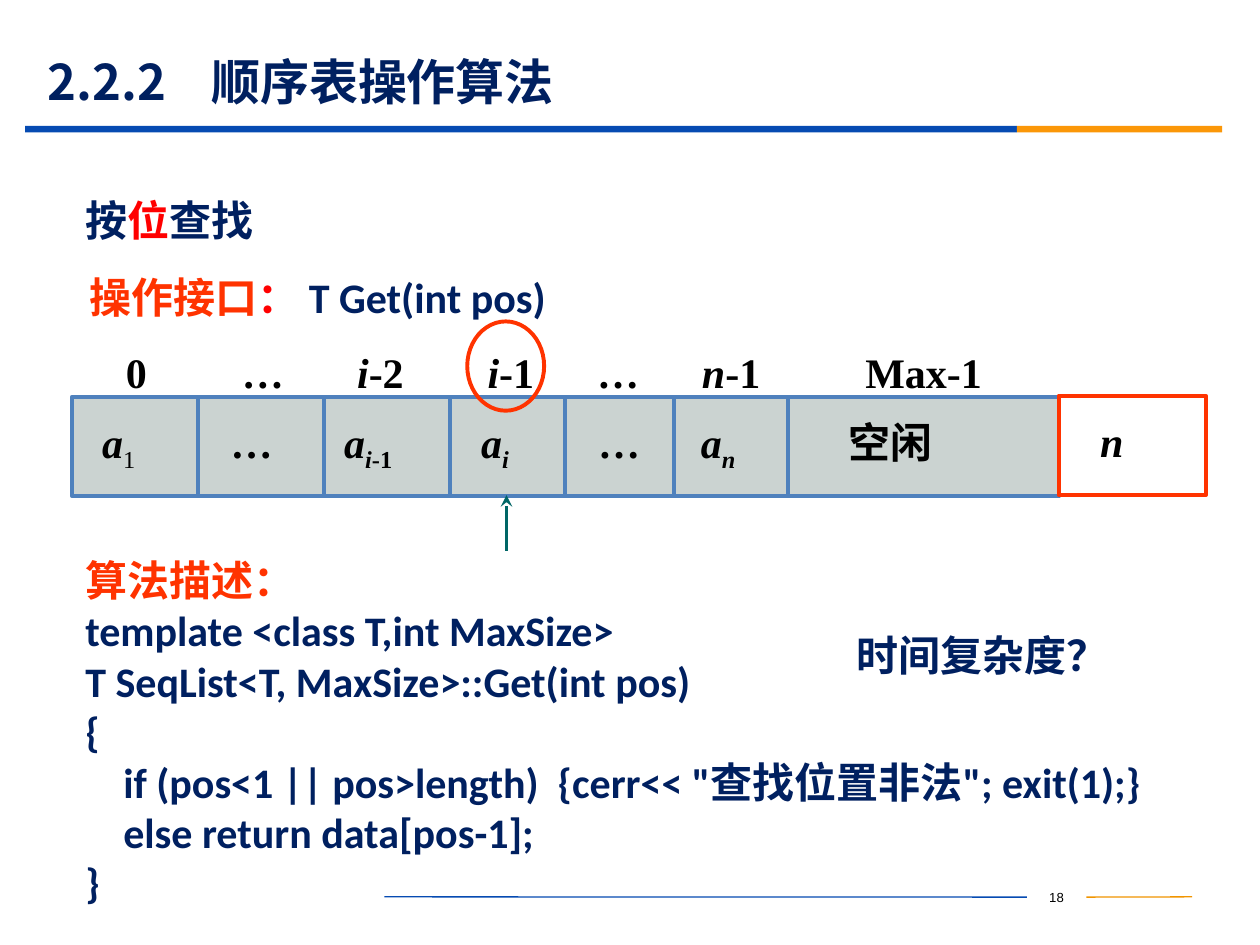
import dataclasses

import lxml.etree
import pptx
import pptx.dml.color
import pptx.enum.shapes
import pptx.enum.text
import pptx.oxml.ns
import pptx.util

Cm, Pt = pptx.util.Cm, pptx.util.Pt
Align = pptx.enum.text.PP_ALIGN
Anchor = pptx.enum.text.MSO_ANCHOR
Kind = pptx.enum.shapes.MSO_SHAPE
qn = pptx.oxml.ns.qn

NAVY, RED, FLAME, BLACK = "002060", "FF0000", "FF3300", "000000"
BLUE, GOLD, STEEL, TEAL = "064BB2", "F19500", "4F81BD", "006666"
SANS, SERIF, CODE, MONO = "Noto Sans CJK SC", "Times New Roman", "Calibri", "Courier New"


@dataclasses.dataclass
class Run:
    text: str
    color: str = BLACK
    face: str = SERIF
    size: float = 24
    bold: bool = True
    slant: bool = False
    sub: bool = False


@dataclasses.dataclass
class Cell:
    left: float      # left edge of the cell
    mid: float       # centre of the index label
    start: float     # left edge of the content
    index: list[Run]
    body: list[Run]


def paint(target, color: str) -> None:
    """Give a fill a solid colour."""
    target.solid()
    target.fore_color.rgb = pptx.dml.color.RGBColor.from_string(color)


def write(frame, lines: list[list[Run]], inset=(0.25, 0.13), align=Align.LEFT,
          anchor=Anchor.TOP, wrap: bool = True):
    """Fill a text frame, one paragraph for each list of runs."""
    side, edge = (Cm(v) for v in inset)
    form = {"margin_left": side, "margin_right": side, "margin_top": edge,
            "margin_bottom": Cm(0.13), "word_wrap": wrap, "vertical_anchor": anchor}
    for key, value in form.items():
        setattr(frame, key, value)
    for n, runs in enumerate(lines):
        para = frame.add_paragraph() if n else frame.paragraphs[0]
        para.alignment = align
        for item in runs:
            run = para.add_run()
            run.text = item.text
            form = {"name": item.face, "size": Pt(item.size),
                    "bold": item.bold, "italic": item.slant}
            for key, value in form.items():
                setattr(run.font, key, value)
            paint(run.font.fill, item.color)
            props = run.font._element
            if item.sub:
                props.set("baseline", "-25000")
            if item.face == SANS:
                east = lxml.etree.SubElement(props, qn("a:ea"))
                east.set("typeface", SANS)
    return frame


def label(slide, box: tuple, lines: list[list[Run]], **form):
    """Add a text box."""
    item = slide.shapes.add_textbox(*(Cm(v) for v in box))
    write(item.text_frame, lines, **form)
    return item


def shape(slide, kind, box: tuple, fill: str = "", edge: str = ""):
    """Add a preset shape with an optional fill and outline."""
    item = slide.shapes.add_shape(kind, *(Cm(v) for v in box))
    item.shadow.inherit = False
    if fill:
        paint(item.fill, fill)
    else:
        item.fill.background()
    if edge:
        paint(item.line.fill, edge)
        item.line.width = Pt(2.25)
    else:
        item.line.fill.background()
    return item


def line(slide, ends: tuple, color: str, width: float = 2.25, head: bool = False):
    """Add a straight line, with an arrowhead at its end if wanted."""
    item = slide.shapes.add_connector(
        pptx.enum.shapes.MSO_CONNECTOR.STRAIGHT, *(Cm(v) for v in ends))
    paint(item.line.fill, color)
    item.line.width = Pt(width)
    if head:
        tip = lxml.etree.SubElement(item.line._get_or_add_ln(), qn("a:tailEnd"))
        tip.set("type", "stealth")
    lxml.etree.SubElement(item._element.spPr, qn("a:effectLst"))
    return item


def var(name: str, sub: bool = False) -> Run:
    return Run(name, slant=True, sub=sub)


def frame_page(slide) -> None:
    # Title rule
    shape(slide, Kind.RECTANGLE, (0.51, 2.54, 19.99, 0.13), BLUE)
    shape(slide, Kind.RECTANGLE, (20.5, 2.54, 4.14, 0.13), "FB9708")
    # Footer: page number between two lines
    page = label(slide, (20.7, 17.77, 1.2, 0.63),
                 [[Run("18", face="Arial", size=7.5, bold=False)]],
                 align=Align.CENTER, anchor=Anchor.MIDDLE)
    line(slide, (7.75, 18.08, 20.7, 18.08), BLUE, 0.75).end_connect(page, 1)
    line(slide, (21.9, 18.08, 24.03, 18.08), GOLD, 0.75).begin_connect(page, 3)


def draw_list(slide) -> None:
    top, tall, right = 8, 2, 21.36
    dots = [Run("…")]
    cells = [
        Cell(1.45, 2.75, 2.06, [Run("0")],
             [var("a"), Run("1", bold=False, sub=True)]),
        Cell(3.99, 5.3, 4.65, dots, dots),
        Cell(6.53, 7.67, 6.94, [var("i"), Run("-2")],
             [var("a"), var("i", True), Run("-1", sub=True)]),
        Cell(9.07, 10.3, 9.7, [var("i"), Run("-1")], [var("a"), var("i", True)]),
        Cell(11.39, 12.46, 12.06, dots, dots),
        Cell(13.59, 14.74, 14.13, [var("n"), Run("-1")], [var("a"), var("n", True)]),
        Cell(15.88, 18.62, 17.1, [Run("Max-1")], [Run("空闲")]),
    ]
    # Array body and dividers
    shape(slide, Kind.RECTANGLE, (cells[0].left, top, right - cells[0].left, tall),
          "CBD3D1", STEEL)
    for cell in cells[1:]:
        line(slide, (cell.left, top, cell.left, top + tall), STEEL)
    # Indices and contents
    for cell in cells:
        label(slide, (cell.mid - 1.5, 6.86, 3, 1.27), [cell.index],
              inset=(0, 0.13), align=Align.CENTER)
        label(slide, (cell.start, 8.26, 2.1, 1.27), [cell.body], inset=(0, 0.13),
              wrap=False)
    # Length field
    size = shape(slide, Kind.RECTANGLE, (21.34, 7.98, 2.97, tall), "FFFFFF", FLAME)
    write(size.text_frame, [[var("n")]], inset=(0.84, 0.4))
    # Marks on the wanted item
    line(slide, (10.21, 11.1, 10.21, 9.98), TEAL, head=True)
    shape(slide, Kind.OVAL, (9.42, 6.48, 1.55, 1.8), edge=FLAME)


def main() -> None:
    deck = pptx.Presentation()
    deck.slide_width, deck.slide_height = Cm(25.4), Cm(19.05)
    slide = deck.slides.add_slide(deck.slide_layouts[6])
    frame_page(slide)

    # Title, with a tab after the number
    title = label(slide, (0.71, 1.09, 22.86, 1.09),
                  [[Run("2.2.2\t顺序表操作算法", NAVY, SANS, 28)]], anchor=Anchor.MIDDLE)
    props = title.text_frame.paragraphs[0]._p.get_or_add_pPr()
    tabs = lxml.etree.SubElement(props, qn("a:tabLst"))
    lxml.etree.SubElement(tabs, qn("a:tab"), pos=str(Cm(3.3)), algn="l")

    # Topic and interface
    label(slide, (1.47, 3.61, 16.46, 1.63),
          [[Run("按", NAVY, SANS), Run("位", RED, SANS), Run("查找", NAVY, SANS)]],
          anchor=Anchor.MIDDLE)
    call = label(slide, (1.8, 5.46, 17.53, 1.32),
                 [[Run("操作接口", FLAME), Run("： ", RED, MONO),
                   Run("T Get(int pos)", NAVY, CODE)]], inset=(0, 0.13))
    call.text_frame.paragraphs[0].line_spacing = 0.9

    draw_list(slide)

    # Algorithm
    code = [
        "template <class T,int MaxSize>",
        "T SeqList<T, MaxSize>::Get(int pos)",
        "{",
        "    if (pos<1 || pos>length)  {cerr<< \"查找位置非法\"; exit(1);}",
        "    else return data[pos-1];",
        "}",
    ]
    label(slide, (1.47, 11.05, 23.27, 7.44),
          [[Run("算法描述：", FLAME)]] + [[Run(row, NAVY, CODE)] for row in code])
    label(slide, (17.02, 12.57, 7.67, 1.3), [[Run("时间复杂度？", NAVY, SANS)]])

    deck.save("out.pptx")


if __name__ == "__main__":
    main()
